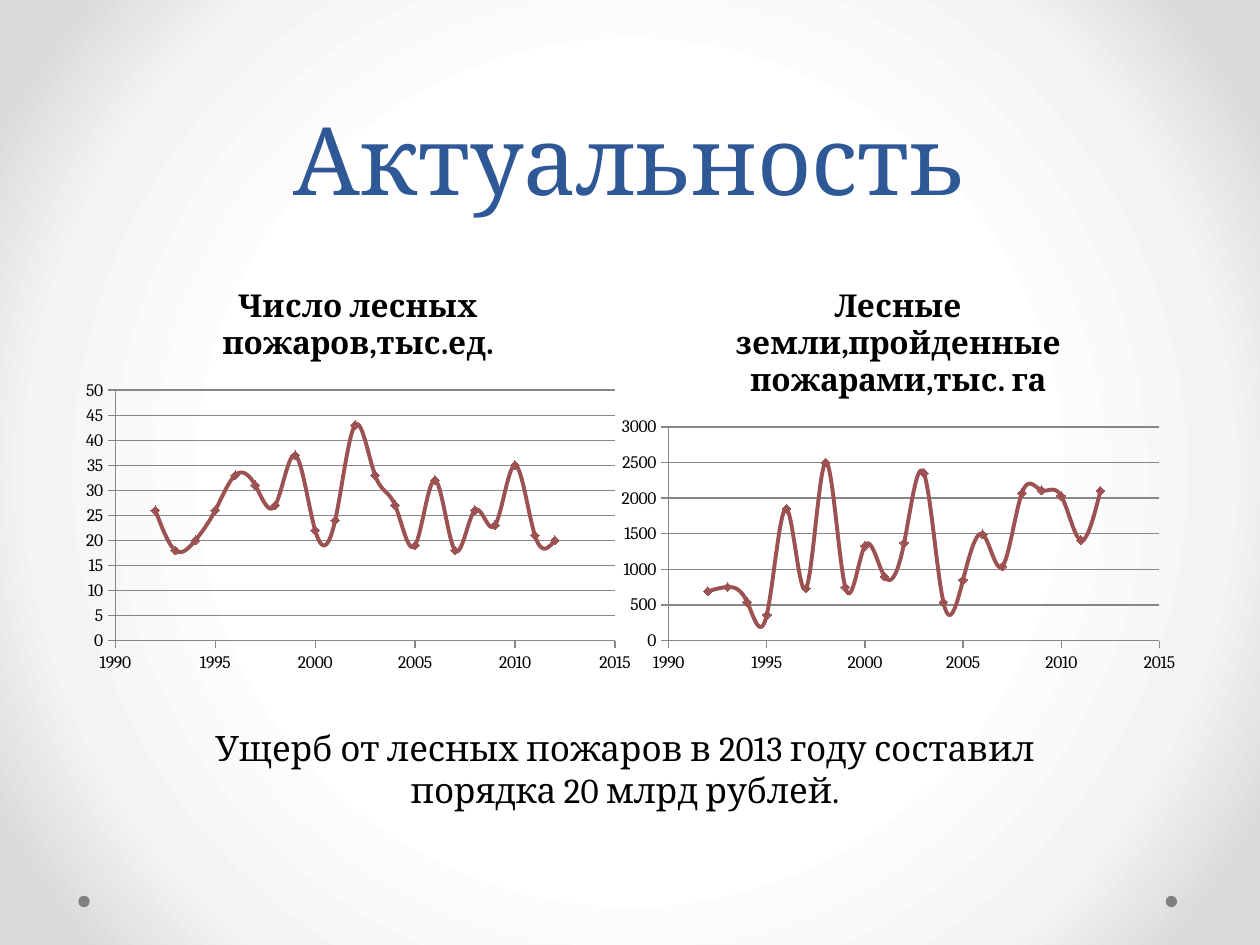
from lxml.etree import SubElement
from pptx import Presentation
from pptx.chart.data import XyChartData
from pptx.dml.color import RGBColor
from pptx.enum.chart import XL_CHART_TYPE, XL_MARKER_STYLE, XL_TICK_MARK
from pptx.enum.shapes import MSO_SHAPE
from pptx.enum.text import MSO_ANCHOR, PP_ALIGN
from pptx.oxml.ns import qn
from pptx.util import Cm, Pt

FONT = "Cambria"
YEARS = range(1992, 2013)
FIRE_COUNTS = [26, 18, 20, 26, 33, 31, 27, 37, 22, 24, 43,
               33, 27, 19, 32, 18, 26, 23, 35, 21, 20]
BURNT_AREAS = [690, 750, 540, 360, 1850, 730, 2500, 750, 1330, 900, 1370,
               2350, 540, 850, 1490, 1040, 2070, 2110, 2030, 1410, 2100]


def colour(value):
    """Turn a hex string into a colour."""
    return RGBColor.from_string(value)


def format_font(font, size, ink="000000", bold=False):
    """Set the face, size, colour and weight of a font."""
    font.name = FONT
    font.size = Pt(size)
    font.bold = bold
    font.color.rgb = colour(ink)


def write(frame, text, size, ink="000000", bold=False, spacing=None):
    """Write one centred paragraph into a text frame."""
    paragraph = frame.paragraphs[0]
    paragraph.alignment = PP_ALIGN.CENTER
    if spacing:
        paragraph.line_spacing = Pt(spacing)
    run = paragraph.add_run()
    run.text = text
    format_font(run.font, size, ink, bold)


def place(shape, box):
    """Move a shape to a box of left, top, width and height in centimetres."""
    shape.left, shape.top, shape.width, shape.height = map(Cm, box)


def paint_background(slide):
    """Give the slide a round gradient from white to grey."""
    slide.background.fill.gradient()
    gradient = next(slide._element.iter(qn("a:gradFill")))
    for child in list(gradient):
        gradient.remove(child)
    stops = SubElement(gradient, qn("a:gsLst"))
    for position, value in ((50, "FFFFFF"), (76, "F4F4F4"), (92, "DADADA")):
        stop = SubElement(stops, qn("a:gs"), pos=str(position * 1000))
        SubElement(stop, qn("a:srgbClr"), val=value)
    round_path = SubElement(gradient, qn("a:path"), path="circle")
    SubElement(round_path, qn("a:fillToRect"), l="50000", t="50000", r="50000", b="50000")


def add_corner_dots(slide, box):
    """Place a grey dot at each end of a box, as large as the box is high."""
    left, top, width, size = box
    for dot_left in (left, left + width - size):
        dot = slide.shapes.add_shape(MSO_SHAPE.OVAL, *map(Cm, (dot_left, top, size, size)))
        dot.shadow.inherit = False
        dot.fill.solid()
        dot.fill.fore_color.rgb = colour("808080")
        dot.line.fill.background()


def add_heading(slide, box, text):
    """Fill the title placeholder and move it to a box."""
    heading = slide.shapes.title
    place(heading, box)
    heading.text_frame.vertical_anchor = MSO_ANCHOR.BOTTOM
    write(heading.text_frame, text, 54, "2F5897", spacing=58)


def format_axis(axis, low, high, step):
    """Set the scale, ticks, line and labels of an axis."""
    axis.minimum_scale, axis.maximum_scale, axis.major_unit = low, high, step
    axis.major_tick_mark = XL_TICK_MARK.OUTSIDE
    axis.minor_tick_mark = XL_TICK_MARK.NONE
    axis.format.line.color.rgb = colour("878787")
    axis.format.line.width = Pt(0.75)
    format_font(axis.tick_labels.font, 10)


def format_curve(curve, ink):
    """Draw a series as a smooth line with diamond markers."""
    curve._element.find(qn("c:smooth")).set("val", "1")
    curve.format.line.color.rgb = colour(ink)
    curve.format.line.width = Pt(2.25)
    curve.marker.style = XL_MARKER_STYLE.DIAMOND
    curve.marker.size = 5
    curve.marker.format.fill.solid()
    curve.marker.format.fill.fore_color.rgb = colour(ink)
    curve.marker.format.line.color.rgb = colour(ink)


def add_year_chart(slide, box, name, values, top_value, step):
    """Plot yearly values as a smooth line in a box."""
    data = XyChartData()
    points = data.add_series(name)
    for year, value in zip(YEARS, values):
        points.add_data_point(year, value)
    chart = slide.shapes.add_chart(XL_CHART_TYPE.XY_SCATTER_SMOOTH, *map(Cm, box), data).chart
    chart.has_legend = False
    format_font(chart.font, 10)
    write(chart.chart_title.text_frame, name, 18, bold=True)
    chart.chart_title.include_in_layout = False
    format_axis(chart.category_axis, 1990, 2015, 5)
    chart.category_axis.has_major_gridlines = False
    format_axis(chart.value_axis, 0, top_value, step)
    chart.value_axis.has_major_gridlines = True
    gridlines = chart.value_axis.major_gridlines.format.line
    gridlines.color.rgb = colour("878787")
    gridlines.width = Pt(0.75)
    chart.plots[0].vary_by_categories = False
    format_curve(chart.plots[0].series[0], "9C5252")


def add_damage_note(slide, box, text):
    """Write the closing statement in a box."""
    note = slide.shapes.add_textbox(*map(Cm, box))
    note.text_frame.word_wrap = True
    write(note.text_frame, text, 20)


def main():
    """Build and save the slide."""
    deck = Presentation()
    deck.slide_width, deck.slide_height = Cm(25.4), Cm(19.05)
    slide = deck.slides.add_slide(deck.slide_layouts[5])
    paint_background(slide)
    add_corner_dots(slide, (1.58, 18.06, 22.15, 0.23))
    add_heading(slide, (1.27, 0, 22.86, 4.45), "Актуальность")
    add_year_chart(slide, (1.5, 5.33, 11.44, 8.4),
                   "Число лесных пожаров,тыс.ед.", FIRE_COUNTS, 50, 5)
    add_year_chart(slide, (12.3, 5.33, 11.62, 8.4),
                   "Лесные земли,пройденные пожарами,тыс. га", BURNT_AREAS, 3000, 500)
    add_damage_note(slide, (3.7, 14.53, 17.8, 1.96),
                    "Ущерб от лесных пожаров в 2013 году составил порядка 20 млрд рублей.")
    deck.save("out.pptx")


if __name__ == "__main__":
    main()
